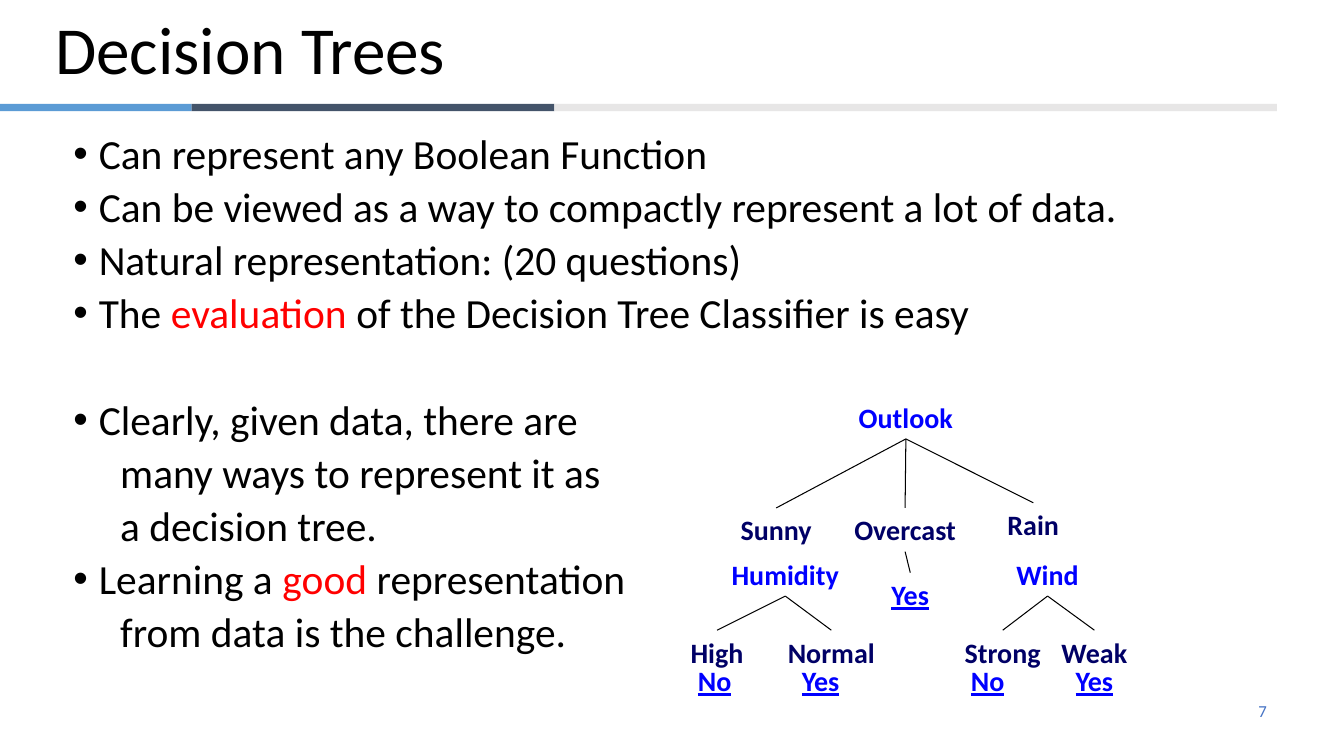
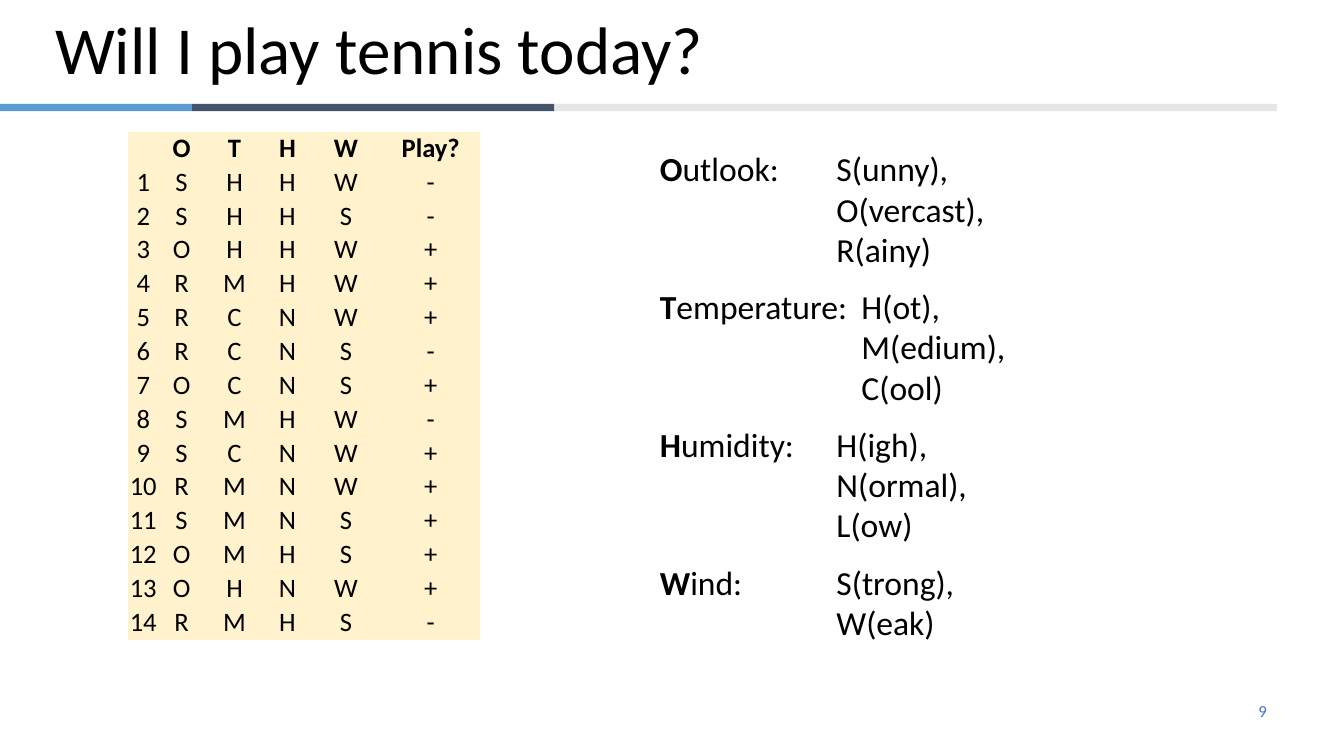
import pptx
import pptx.dml.color
import pptx.enum.shapes
import pptx.enum.text
import pptx.oxml.ns
import pptx.util
from lxml import etree

Cm, Pt = pptx.util.Cm, pptx.util.Pt
ALIGN = pptx.enum.text.PP_ALIGN
ANCHOR = pptx.enum.text.MSO_ANCHOR

FONT = "Calibri"
BLACK, RED, BLUE, NAVY = "000000", "FF0000", "0000FF", "000066"
PAGE_NUMBER_COLOR, TABLE_FILL = "4472C4", "FFF2CC"
NO_TABLE_STYLE = "{2D5ABB26-0587-4C30-8999-92F81FD0307C}"

# Left edge, right edge and colour of each band under the title
BANDS = [(0, 4.83, "5B9BD5"), (4.83, 13.97, "44546A"), (13.97, 32.18, "E7E6E6")]

# Kind of line, then its spans; red spans are emphasised
POINTS = [
    ("bullet", [("Can represent any Boolean Function", BLACK)]),
    ("bullet", [("Can be viewed as a way to compactly represent a lot of data.", BLACK)]),
    ("bullet", [("Natural representation: (20 questions)", BLACK)]),
    ("bullet", [("The ", BLACK), ("evaluation", RED),
                (" of the Decision Tree Classifier is easy", BLACK)]),
    ("new topic", [("Clearly, given data, there are", BLACK)]),
    ("continued", [("many ways to represent it as", BLACK)]),
    ("continued", [("a decision tree.", BLACK)]),
    ("bullet", [("Learning a ", BLACK), ("good", RED), (" representation", BLACK)]),
    ("continued", [("from data is the challenge.", BLACK)]),
]
POINT_SPACING, TOPIC_SPACING = 9.5, 47.9

# Format of each kind of tree node
ATTRIBUTE = {"color": BLUE}
VALUE = {"color": NAVY}
ANSWER = {"color": BLUE, "underline": True}

# Key: text, kind, centre, top, width
NODE_HEIGHT, VALUE_TOP, ANSWER_TOP = 1.1, 15.88, 16.6
NODES = {
    "outlook": ("Outlook", ATTRIBUTE, 22.83, 9.96, 3.07),
    "sunny": ("Sunny", VALUE, 19.56, 12.8, 2.34),
    "overcast": ("Overcast", VALUE, 22.81, 12.8, 3.1),
    "rain": ("Rain", VALUE, 26.04, 12.67, 1.83),
    "humidity": ("Humidity", ATTRIBUTE, 19.79, 13.92, 3.25),
    "overcast answer": ("Yes", ANSWER, 22.94, 14.43, 1.47),
    "wind": ("Wind", ATTRIBUTE, 26.4, 13.92, 2.11),
    "high": ("High", VALUE, 18.07, VALUE_TOP, 1.85),
    "normal": ("Normal", VALUE, 20.95, VALUE_TOP, 2.72),
    "strong": ("Strong", VALUE, 25.27, VALUE_TOP, 2.44),
    "weak": ("Weak", VALUE, 27.58, VALUE_TOP, 2.18),
    "high answer": ("No", ANSWER, 18.01, ANSWER_TOP, 1.37),
    "normal answer": ("Yes", ANSWER, 20.68, ANSWER_TOP, 1.47),
    "strong answer": ("No", ANSWER, 24.89, ANSWER_TOP, 1.37),
    "weak answer": ("Yes", ANSWER, 27.58, ANSWER_TOP, 1.47),
}
BRANCHES = {
    "outlook": ["sunny", "overcast", "rain"],
    "overcast": ["overcast answer"],
    "humidity": ["high", "normal"],
    "wind": ["strong", "weak"],
}

HEADER = ["", "O", "T", "H", "W", "Play?"]
DAYS = ["SHHW-", "SHHS-", "OHHW+", "RMHW+", "RCNW+", "RCNS-", "OCNS+",
        "SMHW-", "SCNW+", "RMNW+", "SMNS+", "OMHS+", "OHNW+", "RMHS-"]
COLUMN_WIDTHS = [0.76, 1.17, 1.5, 1.17, 1.78, 2.49]
TABLE_LEFT, TABLE_TOP, TABLE_HEIGHT = 3.23, 3.33, 12.8

# Attribute, tab stop, values
LEGEND = [
    ("Outlook:", 4.45, ["S(unny),", "O(vercast),", "R(ainy)"]),
    ("Temperature:", 5.08, ["H(ot),", "M(edium),", "C(ool)"]),
    ("Humidity:", 4.45, ["H(igh),", "N(ormal),", "L(ow)"]),
    ("Wind:", 4.45, ["S(trong),", "W(eak)"]),
]


def rgb(value):
    return pptx.dml.color.RGBColor.from_string(value)


def add_xml(parent, tag, **attributes):
    return etree.SubElement(parent, pptx.oxml.ns.qn(tag), attributes)


def add_text(para, text, size=20, color=BLACK, bold=False, underline=False):
    """Append text to a paragraph; each newline becomes a line break."""
    for index, line in enumerate(text.split("\n")):
        if index:
            para.add_line_break()
        span = para.add_run()
        span.text = line
        span.font.name = FONT
        span.font.size = Pt(size)
        span.font.bold = bold
        span.font.underline = underline
        span.font.color.rgb = rgb(color)


def add_box(page, left, top, width, height, wrap=True, anchor=ANCHOR.TOP):
    box = page.shapes.add_textbox(Cm(left), Cm(top), Cm(width), Cm(height))
    box.text_frame.word_wrap = wrap
    box.text_frame.vertical_anchor = anchor
    return box


def next_paragraph(frame, index):
    return frame.add_paragraph() if index else frame.paragraphs[0]


def add_page(deck, title, number):
    """Add a page with the shared bands, title and page number."""
    page = deck.slides.add_slide(deck.slide_layouts[6])
    for left, right, color in BANDS:
        band = page.shapes.add_shape(pptx.enum.shapes.MSO_SHAPE.RECTANGLE,
                                     Cm(left), Cm(2.62), Cm(right - left), Cm(0.18))
        band.shadow.inherit = False
        band.fill.solid()
        band.fill.fore_color.rgb = rgb(color)
        band.line.fill.background()
    heading = add_box(page, 1.14, 0.05, 30.48, 2.57, anchor=ANCHOR.MIDDLE)
    para = heading.text_frame.paragraphs[0]
    para.line_spacing = 0.9
    add_text(para, title, size=48)
    footer = add_box(page, 24.28, 17.4, 7.9, 1.02, anchor=ANCHOR.MIDDLE)
    para = footer.text_frame.paragraphs[0]
    para.alignment = ALIGN.RIGHT
    add_text(para, str(number), size=12, color=PAGE_NUMBER_COLOR)
    return page


def add_points(page):
    frame = add_box(page, 1.6, 3.35, 30.48, 13.67).text_frame
    for index, (kind, spans) in enumerate(POINTS):
        para = next_paragraph(frame, index)
        para.line_spacing = 0.8
        para.space_before = Pt(TOPIC_SPACING if kind == "new topic" else POINT_SPACING)
        properties = para._p.get_or_add_pPr()
        if kind == "continued":
            properties.set("marL", str(Cm(1.18)))
        else:
            properties.set("marL", str(Cm(0.64)))
            properties.set("indent", str(Cm(-0.64)))
            add_xml(properties, "a:buFont", typeface="Arial")
            add_xml(properties, "a:buChar", char="•")
        for text, color in spans:
            add_text(para, text, size=29.6, color=color)


def add_tree(page):
    boxes = {}
    for key, (text, kind, center, top, width) in NODES.items():
        box = add_box(page, center - width / 2, top, width, NODE_HEIGHT, wrap=False)
        para = box.text_frame.paragraphs[0]
        para.alignment = ALIGN.CENTER
        add_text(para, text, bold=True, **kind)
        boxes[key] = box
    for parent, children in BRANCHES.items():
        for child in children:
            branch = page.shapes.add_connector(
                pptx.enum.shapes.MSO_CONNECTOR.STRAIGHT, 0, 0, 0, 0)
            branch.begin_connect(boxes[parent], 2)
            branch.end_connect(boxes[child], 0)
            branch.line.color.rgb = rgb(BLACK)
            branch.line.width = Pt(0.75)
            add_xml(branch._element.spPr, "a:effectLst")


def add_days_table(page):
    rows = [HEADER] + [[str(day), *values] for day, values in enumerate(DAYS, 1)]
    frame = page.shapes.add_table(len(rows), len(HEADER), Cm(TABLE_LEFT), Cm(TABLE_TOP),
                                  Cm(sum(COLUMN_WIDTHS)), Cm(TABLE_HEIGHT))
    table = frame.table
    table.first_row = table.horz_banding = False
    table._tbl.tblPr.find(pptx.oxml.ns.qn("a:tableStyleId")).text = NO_TABLE_STYLE
    for column, width in zip(table.columns, COLUMN_WIDTHS):
        column.width = Cm(width)
    for row_index, row in enumerate(rows):
        for column_index, text in enumerate(row):
            cell = table.cell(row_index, column_index)
            cell.margin_left = cell.margin_right = cell.margin_top = cell.margin_bottom = 0
            cell.fill.solid()
            cell.fill.fore_color.rgb = rgb(TABLE_FILL)
            para = cell.text_frame.paragraphs[0]
            para.alignment = ALIGN.CENTER
            if text:
                add_text(para, text, size=19, bold=row_index == 0)


def add_legend(page):
    frame = add_box(page, 16.38, 3.61, 11.23, 13.08).text_frame
    for index, (name, tab_stop, values) in enumerate(LEGEND):
        para = next_paragraph(frame, index)
        para.space_before = Pt(12)
        tabs = add_xml(para._p.get_or_add_pPr(), "a:tabLst")
        add_xml(tabs, "a:tab", pos=str(Cm(tab_stop)), algn="l")
        add_text(para, name[0], size=24, bold=True)
        add_text(para, name[1:] + "\t" + "\n\t".join(values), size=24)


def main():
    deck = pptx.Presentation()
    deck.slide_width, deck.slide_height = Cm(33.87), Cm(19.05)
    page = add_page(deck, "Decision Trees", 7)
    add_points(page)
    add_tree(page)
    page = add_page(deck, "Will I play tennis today?", 9)
    add_legend(page)
    add_days_table(page)
    deck.save("out.pptx")


if __name__ == "__main__":
    main()
